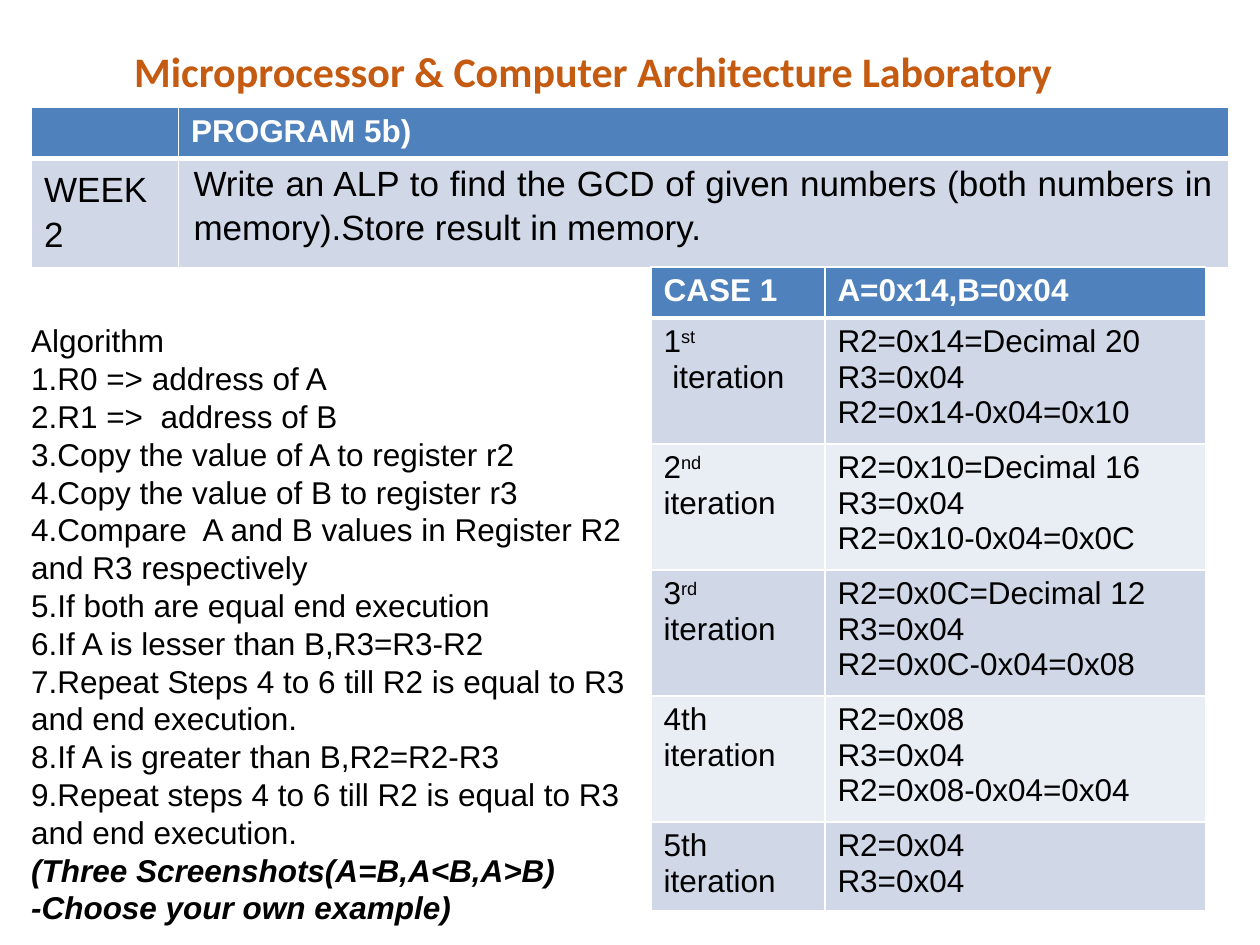
from lxml.etree import SubElement
from pptx import Presentation
from pptx.dml.color import RGBColor
from pptx.enum.text import MSO_ANCHOR, MSO_AUTO_SIZE, PP_ALIGN
from pptx.oxml.ns import qn
from pptx.util import Pt

COLORS = {
    "title": "C55A11",
    "header": "4F81BD",
    "odd_row": "D0D8E8",
    "even_row": "E9EDF4",
    "white": "FFFFFF",
    "black": "000000",
}

ALGORITHM = [
    "Algorithm",
    "1.R0 => address of A",
    "2.R1 =>  address of B",
    "3.Copy the value of A to register r2",
    "4.Copy the value of B to register r3",
    "4.Compare  A and B values in Register R2 and R3 respectively",
    "5.If both are equal end execution",
    "6.If A is lesser than B,R3=R3-R2",
    "7.Repeat Steps 4 to 6 till R2 is equal to R3 and end execution.",
    "8.If A is greater than B,R2=R2-R3",
    "9.Repeat steps 4 to 6 till R2 is equal to R3",
    "and end execution.",
]
SCREENSHOTS = ["(Three Screenshots(A=B,A<B,A>B)", "-Choose your own example)"]

TASK = "Write an ALP to find the GCD of given numbers (both numbers in memory).Store result in memory."
CASE_ROWS = [
    ("CASE 1", "A=0x14,B=0x04"),
    ("1^st^\n iteration", "R2=0x14=Decimal 20\nR3=0x04\nR2=0x14-0x04=0x10"),
    ("2^nd^ iteration", "R2=0x10=Decimal 16\nR3=0x04\nR2=0x10-0x04=0x0C"),
    ("3^rd^ iteration", "R2=0x0C=Decimal 12\nR3=0x04\nR2=0x0C-0x04=0x08"),
    ("4th iteration", "R2=0x08\nR3=0x04\nR2=0x08-0x04=0x04"),
    ("5th iteration", "R2=0x04\nR3=0x04"),
]


def write(frame, text, size=18, font="Arial", color="black", bold=False, italic=False,
          align=PP_ALIGN.LEFT, spacing=1.0, after=0, append=False):
    """Write one paragraph per line; text between carets is superscript."""
    for index, line in enumerate(text.split("\n")):
        paragraph = frame.add_paragraph() if index or append else frame.paragraphs[0]
        paragraph.alignment = align
        paragraph.line_spacing = spacing
        paragraph.space_before = Pt(0)
        paragraph.space_after = Pt(after)
        for part, piece in enumerate(line.split("^")):
            run = paragraph.add_run()
            run.text = piece
            run.font.size = Pt(size)
            run.font.name = font
            run.font.bold = bold
            run.font.italic = italic
            run.font.color.rgb = RGBColor.from_string(COLORS[color])
            if part % 2:
                run.font._element.set("baseline", "30000")


def place(shape, left, top, width, height):
    """Move a placeholder to a box and fix its text size."""
    shape.left, shape.top, shape.width, shape.height = Pt(left), Pt(top), Pt(width), Pt(height)
    shape.text_frame.word_wrap = True
    shape.text_frame.auto_size = MSO_AUTO_SIZE.NONE


def style_cell(cell, color, top=1, bottom=1):
    """Give a cell white borders and a solid fill."""
    properties = cell._tc.get_or_add_tcPr()
    for side, width in (("L", 1), ("R", 1), ("T", top), ("B", bottom)):
        line = SubElement(properties, qn(f"a:ln{side}"), w=str(Pt(width)))
        fill = SubElement(line, qn("a:solidFill"))
        SubElement(fill, qn("a:srgbClr"), val=COLORS["white"])
    cell.fill.solid()
    cell.fill.fore_color.rgb = RGBColor.from_string(COLORS[color])


def add_grid(slide, left, top, widths, heights):
    """Add a table with a header row and banded body rows."""
    table = slide.shapes.add_table(len(heights), len(widths), Pt(left), Pt(top),
                                   Pt(sum(widths)), Pt(sum(heights))).table
    for column, width in zip(table.columns, widths):
        column.width = Pt(width)
    for index, (row, height) in enumerate(zip(table.rows, heights)):
        row.height = Pt(height)
        color = "header" if index == 0 else "odd_row" if index % 2 else "even_row"
        for cell in row.cells:
            style_cell(cell, color, top=3 if index == 1 else 1, bottom=3 if index == 0 else 1)
    return table


def add_title(title, left, top, width, height):
    """Place the course title."""
    place(title, left, top, width, height)
    title.text_frame.vertical_anchor = MSO_ANCHOR.MIDDLE
    write(title.text_frame, "Microprocessor & Computer Architecture Laboratory", size=24,
          font="Calibri", color="title", bold=True, align=PP_ALIGN.CENTER)


def add_program(slide, left, top, width, height):
    """Add the table with the week and its task."""
    table = add_grid(slide, left, top, (84, width - 84), (29.2, height - 29.2))
    write(table.cell(0, 1).text_frame, "PROGRAM 5b)", color="white", bold=True)
    write(table.cell(1, 0).text_frame, "WEEK 2", size=20, align=PP_ALIGN.JUSTIFY, spacing=1.15)
    task = table.cell(1, 1)
    task.margin_left = task.margin_right = Pt(8.6)
    task.margin_top = task.margin_bottom = Pt(0)
    write(task.text_frame, TASK, size=20, align=PP_ALIGN.JUSTIFY, spacing=1.15, after=10)


def add_case(slide, left, top, width, height):
    """Add the table that traces the iterations of one case."""
    heights = (29.2, 72, 72, 72, 72, height - 29.2 - 4 * 72)
    table = add_grid(slide, left, top, (99.4, width - 99.4), heights)
    for row, texts in enumerate(CASE_ROWS):
        for column, text in enumerate(texts):
            write(table.cell(row, column).text_frame, text,
                  color="black" if row else "white", bold=row == 0)


def add_algorithm(body, left, top, width, height):
    """Place the steps of the algorithm without bullets."""
    place(body, left, top, width, height)
    frame = body.text_frame
    frame.vertical_anchor = MSO_ANCHOR.TOP
    write(frame, "\n".join(ALGORITHM))
    write(frame, "\n".join(SCREENSHOTS), bold=True, italic=True, append=True)
    for paragraph in frame.paragraphs:
        properties = paragraph._p.get_or_add_pPr()
        properties.set("marL", "0")
        properties.set("indent", "0")
        SubElement(properties, qn("a:buNone"))


def main():
    """Build the slide and save it."""
    presentation = Presentation()
    presentation.slide_width, presentation.slide_height = Pt(720), Pt(540)
    slide = presentation.slides.add_slide(presentation.slide_layouts[1])
    add_title(slide.shapes.title, 18, 22.3, 642, 36)
    add_program(slide, 18, 61.4, 684, 91.4)
    add_case(slide, 372, 152.6, 316.8, 367.6)
    add_algorithm(slide.placeholders[1], 10.6, 180, 354.4, 358)
    presentation.save("out.pptx")


if __name__ == "__main__":
    main()
